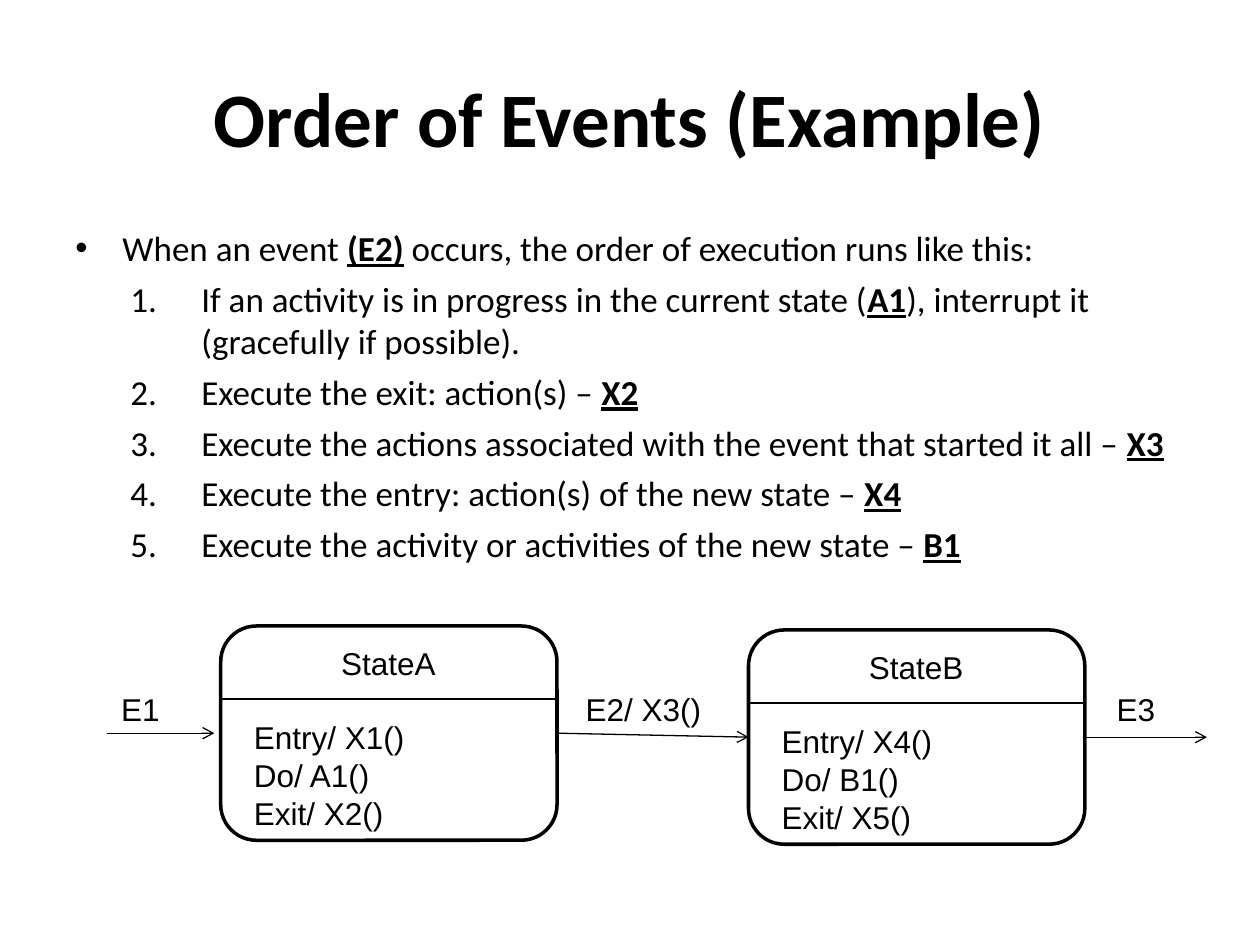
from lxml.etree import SubElement
from pptx import Presentation
from pptx.dml.color import RGBColor
from pptx.enum.shapes import MSO_CONNECTOR, MSO_SHAPE
from pptx.enum.text import MSO_ANCHOR, PP_ALIGN
from pptx.oxml.ns import qn
from pptx.util import Cm, Pt

INK = "000000"
RIGHT_SIDE, LEFT_SIDE = 3, 1
STATE_WIDTH, STATE_HEIGHT = 6.78, 4.32


def color(hex_string):
    return RGBColor.from_string(hex_string)


class SlideWriter:
    heading_font = "Calibri"
    diagram_font = "Arial"

    def __init__(self, page):
        self.page = page

    def span(self, para, text, font, size, strong=False, underline=False):
        span = para.add_run()
        span.text = text
        span.font.name = font
        span.font.size = Pt(size)
        span.font.bold = strong
        span.font.underline = underline
        span.font.color.rgb = color(INK)

    def place(self, item, left, top, width, height):
        item.left, item.top = Cm(left), Cm(top)
        item.width, item.height = Cm(width), Cm(height)

    def title(self, text, *bounds):
        title = self.page.shapes.title
        self.place(title, *bounds)
        title.text_frame.vertical_anchor = MSO_ANCHOR.MIDDLE
        para = title.text_frame.paragraphs[0]
        para.alignment = PP_ALIGN.CENTER
        self.span(para, text, self.heading_font, 44, strong=True)

    def text_box(self, *bounds):
        box = self.page.shapes.add_textbox(*map(Cm, bounds))
        box.text_frame.word_wrap = True
        return box.text_frame

    def label(self, lines, *bounds, align=PP_ALIGN.CENTER):
        frame = self.text_box(*bounds)
        for index, line in enumerate(lines):
            para = frame.add_paragraph() if index else frame.paragraphs[0]
            para.alignment = align
            self.span(para, line, self.diagram_font, 18)

    def bullet(self, para, indent, hanging, numbered):
        properties = para._p.get_or_add_pPr()
        properties.set("marL", str(Cm(indent)))
        properties.set("indent", str(-Cm(hanging)))
        bullet_color = SubElement(properties, qn("a:buClr"))
        SubElement(bullet_color, qn("a:srgbClr"), val=INK)
        if numbered:
            SubElement(properties, qn("a:buFont"), typeface=self.heading_font)
            SubElement(properties, qn("a:buAutoNum"), type="arabicPeriod")
        else:
            SubElement(properties, qn("a:buFont"), typeface=self.diagram_font)
            SubElement(properties, qn("a:buChar"), char="•")

    def steps(self, items, *bounds):
        """Write a bulleted lead-in and its numbered steps; each item is (before, key, after)."""
        frame = self.text_box(*bounds)
        for index, (before, key, after) in enumerate(items):
            para = frame.add_paragraph() if index else frame.paragraphs[0]
            para.space_before = Pt(5)
            if index:
                para.level = 1
                self.bullet(para, 2.54, 1.43, numbered=True)
            else:
                self.bullet(para, 0.95, 0.95, numbered=False)
            self.span(para, before, self.heading_font, 20)
            self.span(para, key, self.heading_font, 20, strong=True, underline=True)
            if after:
                self.span(para, after, self.heading_font, 20)

    def line(self, start, end, arrow=False):
        line = self.page.shapes.add_connector(
            MSO_CONNECTOR.STRAIGHT, *map(Cm, start + end))
        line.line.color.rgb = color(INK)
        line.line.width = Pt(0.75)
        if arrow:
            SubElement(line.line._get_or_add_ln(), qn("a:tailEnd"), type="arrow")
        SubElement(line._element.spPr, qn("a:effectLst"))
        return line

    def state(self, name, actions, left, top):
        box = self.page.shapes.add_shape(
            MSO_SHAPE.ROUNDED_RECTANGLE,
            *map(Cm, (left, top, STATE_WIDTH, STATE_HEIGHT)))
        box.shadow.inherit = False
        box.fill.background()
        box.line.color.rgb = color(INK)
        box.line.width = Pt(2)
        divider = top + 1.47
        self.line((left, divider), (left + STATE_WIDTH, divider))
        self.label([name], left + 0.84, top + 0.24, 5.08, 1.02)
        self.label(actions, left + 0.42, top + 1.74, 5.92, 2.54, align=PP_ALIGN.LEFT)
        return box


def main():
    deck = Presentation()
    deck.slide_width, deck.slide_height = Cm(25.4), Cm(19.05)
    writer = SlideWriter(deck.slides.add_slide(deck.slide_layouts[5]))

    writer.title("Order of Events (Example)", 1.27, 0.76, 22.86, 3.18)
    writer.steps([
        ("When an event ", "(E2)", " occurs, the order of execution runs like this:"),
        ("If an activity is in progress in the current state (", "A1",
         "), interrupt it (gracefully if possible)."),
        ("Execute the exit: action(s) – ", "X2", ""),
        ("Execute the actions associated with the event that started it all – ", "X3", ""),
        ("Execute the entry: action(s) of the new state – ", "X4", ""),
        ("Execute the activity or activities of the new state – ", "B1", ""),
    ], 1.27, 4.45, 22.86, 12.57)

    state_a = writer.state("StateA", ["Entry/ X1()", "Do/ A1()", "Exit/ X2()"], 4.45, 12.62)
    state_b = writer.state("StateB", ["Entry/ X4()", "Do/ B1()", "Exit/ X5()"], 15.09, 12.7)

    writer.line((2.16, 14.78), (4.32, 14.78), arrow=True)
    change = writer.line((11.23, 14.78), (15.09, 14.86), arrow=True)
    change.begin_connect(state_a, RIGHT_SIDE)
    change.end_connect(state_b, LEFT_SIDE)
    leave = writer.line((21.87, 14.86), (24.33, 14.86), arrow=True)
    leave.begin_connect(state_b, RIGHT_SIDE)

    for event, left, width in (("E1", 1.7, 2.26), ("E2/ X3()", 11.23, 3.48), ("E3", 21.44, 2.92)):
        writer.label([event], left, 13.78, width, 1.02)

    deck.save("out.pptx")


if __name__ == "__main__":
    main()
